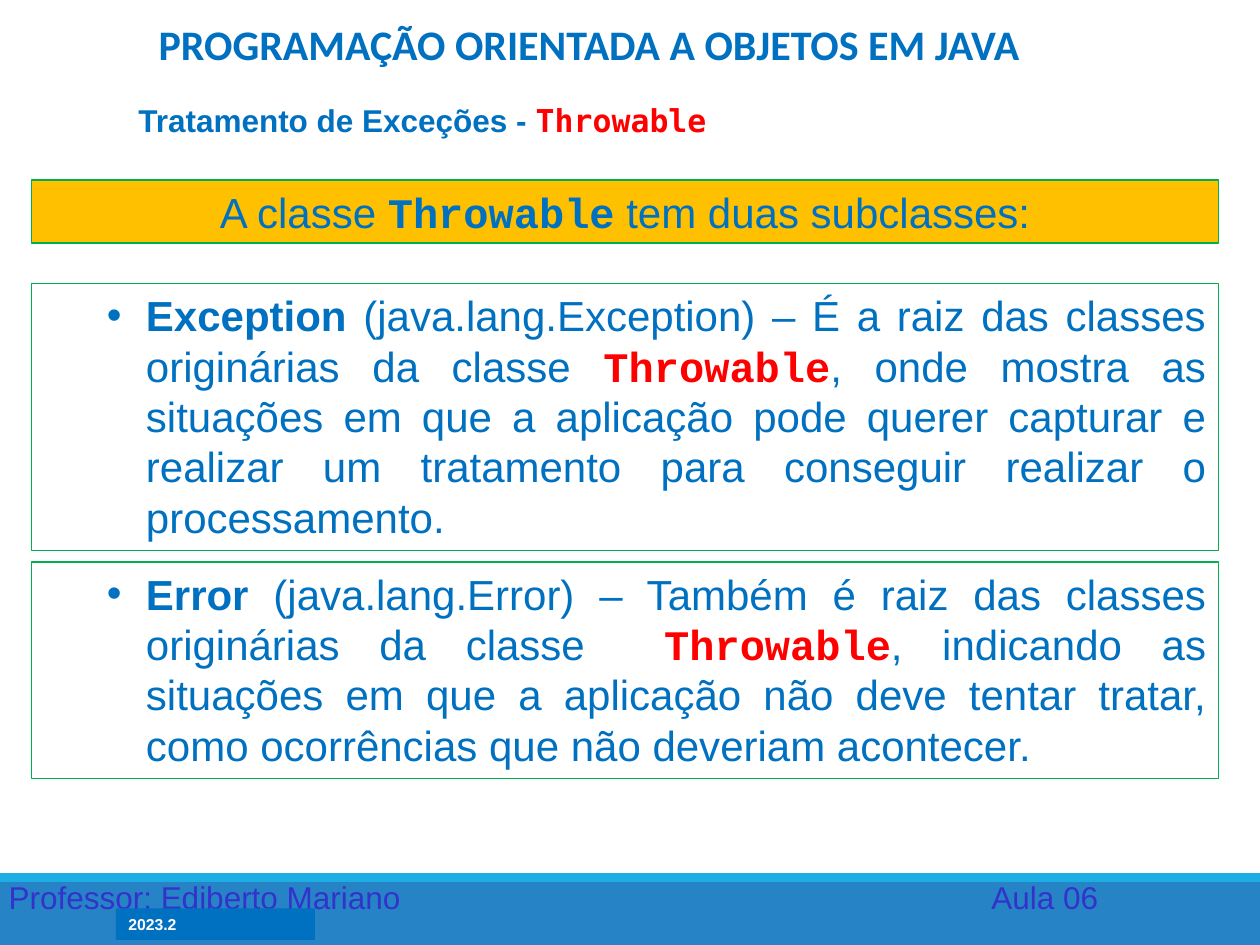
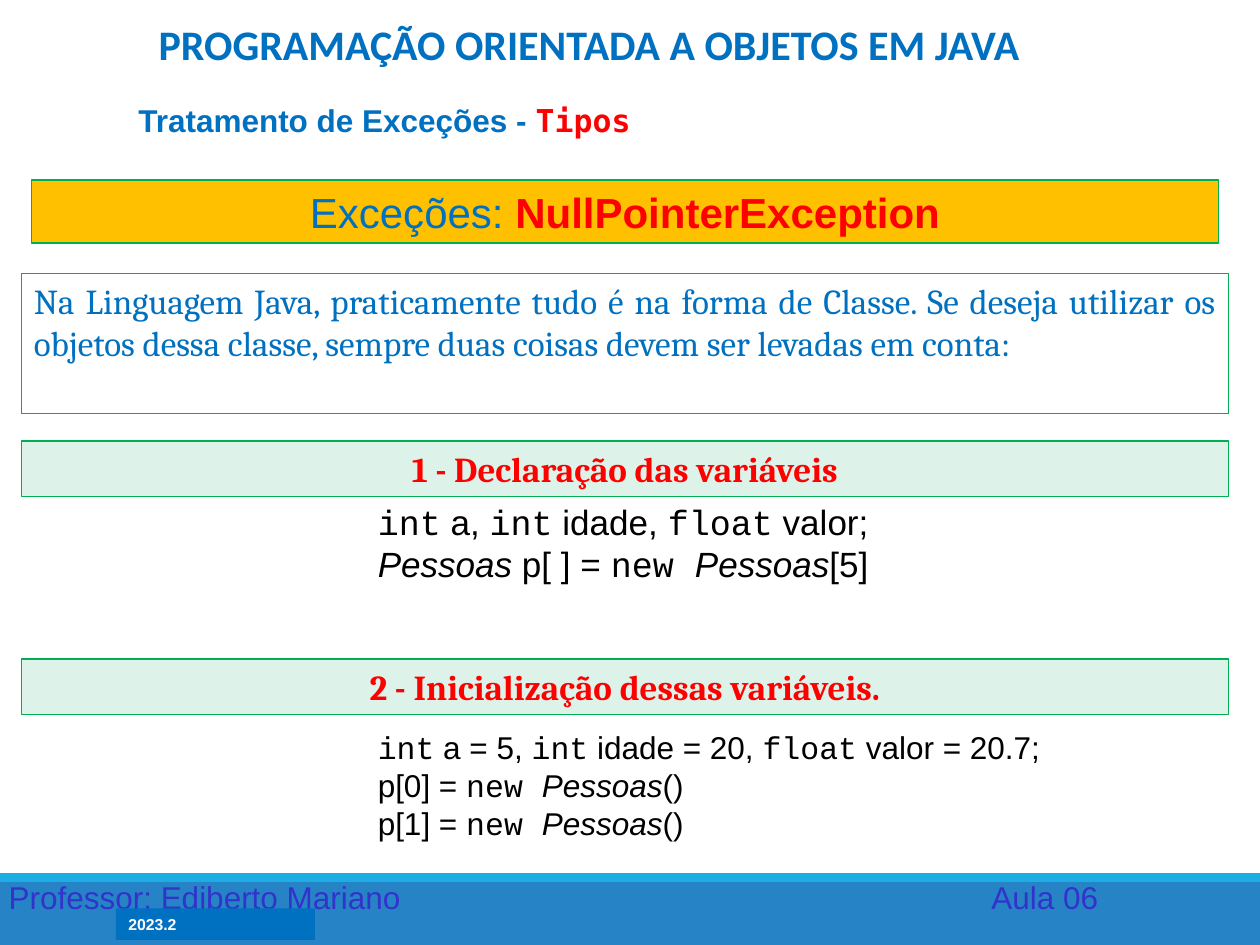
import dataclasses

import lxml.etree
import pptx
import pptx.dml.color
import pptx.enum.shapes
import pptx.enum.text
import pptx.oxml.ns
import pptx.util

Inches = pptx.util.Inches
ALIGN = pptx.enum.text.PP_ALIGN
ANCHOR = pptx.enum.text.MSO_ANCHOR


@dataclasses.dataclass(frozen=True)
class Theme:
    """Colours, type sizes and fonts shared by the lesson."""

    blue: str = "0070C0"
    red: str = "FF0000"
    black: str = "000000"
    white: str = "FFFFFF"
    border: str = "00B050"
    amber: str = "FFC000"
    mint: str = "DDF3EA"
    band: str = "2683C6"
    stripe: str = "1CADE4"
    credit: str = "3333CC"
    large: int = 24
    medium: int = 20
    small: int = 18
    tiny: int = 9
    sans: str = "Arial"
    serif: str = "Cambria"
    heading: str = "Calibri"
    code: str = "Courier New"
    mono: str = "DejaVu Sans Mono"


THEME = Theme()


def style(color, size, name=THEME.sans, bold=False, italic=False):
    """Return the format values of one run style."""
    return dict(color=color, size=size, name=name, bold=bold, italic=italic)


TITLE = style(THEME.blue, THEME.large, THEME.heading, bold=True)
TOPIC = style(THEME.blue, THEME.small, bold=True)
TOPIC_NAME = style(THEME.red, THEME.small, THEME.mono, bold=True)
BODY = style(THEME.blue, THEME.large)
BODY_BOLD = style(THEME.blue, THEME.large, bold=True)
BODY_CODE = style(THEME.blue, THEME.large, THEME.code, bold=True)
RED_BOLD = style(THEME.red, THEME.large, bold=True)
RED_CODE = style(THEME.red, THEME.large, THEME.code, bold=True)
INTRO = style(THEME.blue, THEME.medium, THEME.serif)
STEP = style(THEME.red, THEME.medium, THEME.serif, bold=True)
CREDIT = style(THEME.credit, THEME.small)
TERM = style(THEME.white, THEME.tiny, bold=True)


def write(frame, paragraphs, align=ALIGN.LEFT, anchor=ANCHOR.TOP):
    """Fill a text frame with paragraphs made of (text, style) runs."""
    settings = dict(
        word_wrap=True,
        auto_size=pptx.enum.text.MSO_AUTO_SIZE.NONE,
        vertical_anchor=anchor,
        margin_left=Inches(0.1),
        margin_right=Inches(0.1),
        margin_top=Inches(0.05),
        margin_bottom=Inches(0.05),
    )
    for key, value in settings.items():
        setattr(frame, key, value)
    for index, runs in enumerate(paragraphs):
        paragraph = frame.add_paragraph() if index else frame.paragraphs[0]
        paragraph.alignment = align
        for text, values in runs:
            run = paragraph.add_run()
            run.text = text
            for key, value in values.items():
                if key == "color":
                    run.font.color.rgb = pptx.dml.color.RGBColor.from_string(value)
                else:
                    setattr(run.font, key, pptx.util.Pt(value) if key == "size" else value)


def add_text(slide, box, paragraphs, align=ALIGN.LEFT):
    """Add a plain text box and return its text frame."""
    frame = slide.shapes.add_textbox(*map(Inches, box)).text_frame
    write(frame, paragraphs, align)
    return frame


def add_panel(slide, box, fill=None, border=None, paragraphs=(), align=ALIGN.CENTER):
    """Add a rectangle with optional fill, border and text."""
    panel = slide.shapes.add_shape(
        pptx.enum.shapes.MSO_SHAPE.RECTANGLE, *map(Inches, box)
    )
    panel.shadow.inherit = False
    for paint, color in ((panel.fill, fill), (panel.line.fill, border)):
        if color:
            paint.solid()
            paint.fore_color.rgb = pptx.dml.color.RGBColor.from_string(color)
        else:
            paint.background()
    if border:
        panel.line.width = pptx.util.Pt(0.75)
    write(panel.text_frame, paragraphs, align)
    return panel.text_frame


def add_mark(properties, tag, **attributes):
    """Append a DrawingML element to paragraph properties and return it."""
    return lxml.etree.SubElement(properties, pptx.oxml.ns.qn(tag), attributes)


def add_footer(slide, box):
    """Draw the footer band with the teacher, lesson and term."""
    left, top, width, height = box
    add_panel(slide, box, THEME.band)
    add_panel(slide, (left, top, width, 0.07), THEME.stripe)
    credit = add_text(
        slide,
        (left - 0.03, top - 0.01, 9, 0.4),
        [[("Professor: Ediberto Mariano\tAula 06", CREDIT)]],
    )
    properties = credit.paragraphs[0]._p.get_or_add_pPr()
    stops = add_mark(properties, "a:tabLst")
    add_mark(stops, "a:tab", pos=str(Inches(7.8)), algn="l")
    add_panel(
        slide,
        (left + 0.92, top + 0.28, 1.58, 0.25),
        THEME.blue,
        paragraphs=[[("2023.2", TERM)]],
        align=ALIGN.LEFT,
    )


def add_lesson_slide(deck, topic, banner):
    """Add a slide with the course title, topic line, banner and footer."""
    slide = deck.slides.add_slide(deck.slide_layouts[5])
    title = slide.shapes.title
    bounds = zip(("left", "top", "width", "height"), (1.03, 0.08, 7.29, 0.52))
    for key, value in bounds:
        setattr(title, key, Inches(value))
    write(
        title.text_frame,
        [[("PROGRAMAÇÃO ORIENTADA A OBJETOS EM JAVA", TITLE)]],
        ALIGN.CENTER,
        ANCHOR.BOTTOM,
    )
    add_footer(slide, (0, 6.93, 10, 0.57))
    add_text(
        slide,
        (1, 0.75, 4.83, 0.41),
        [[("Tratamento de Exceções - ", TOPIC), (topic, TOPIC_NAME)]],
        ALIGN.JUSTIFY,
    )
    add_panel(slide, (0.25, 1.43, 9.42, 0.5), THEME.amber, THEME.border, [banner])
    return slide


def add_subclass(slide, box, runs):
    """Add a bordered panel with one bulleted subclass description."""
    frame = add_panel(
        slide, box, border=THEME.border, paragraphs=[runs], align=ALIGN.JUSTIFY
    )
    properties = frame.paragraphs[0]._p.get_or_add_pPr()
    properties.set("marL", str(Inches(0.81)))
    properties.set("indent", str(Inches(-0.31)))
    add_mark(properties, "a:buFont", typeface=THEME.sans)
    add_mark(properties, "a:buChar", char="•")


def add_step(slide, box, heading, code_box, lines):
    """Add a step heading and its code, offset from the heading's corner."""
    left, top = box[:2]
    add_panel(slide, box, THEME.mint, THEME.border, [[(heading, STEP)]])
    across, down, width, height = code_box
    add_text(slide, (left + across, top + down, width, height), lines)


def build_throwable(deck):
    """Build the slide on the two subclasses of Throwable."""
    slide = add_lesson_slide(
        deck,
        "Throwable",
        [("A classe ", BODY), ("Throwable", BODY_CODE), (" tem duas subclasses:", BODY)],
    )
    subclasses = (
        (2.25, 2.12, "Exception",
         " (java.lang.Exception) – É a raiz das classes originárias da classe ",
         ", onde mostra as situações em que a aplicação pode querer capturar e "
         "realizar um tratamento para conseguir realizar o processamento."),
        (4.46, 1.72, "Error",
         " (java.lang.Error) – Também é raiz das classes originárias da classe  ",
         ", indicando as situações em que a aplicação não deve tentar tratar, "
         "como ocorrências que não deveriam acontecer."),
    )
    for top, height, name, origin, purpose in subclasses:
        runs = [(name, BODY_BOLD), (origin, BODY), ("Throwable", RED_CODE), (purpose, BODY)]
        add_subclass(slide, (0.25, top, 9.42, height), runs)


def build_null_pointer(deck):
    """Build the slide on declaring and initialising variables."""
    slide = add_lesson_slide(
        deck, "Tipos", [("Exceções: ", BODY), ("NullPointerException", RED_BOLD)]
    )
    add_panel(
        slide,
        (0.17, 2.17, 9.58, 1.11),
        THEME.white,
        THEME.border,
        [[("Na Linguagem Java, praticamente tudo é na forma de Classe. Se deseja "
           "utilizar os objetos dessa classe, sempre duas coisas devem ser levadas "
           "em conta:", INTRO)]],
        ALIGN.JUSTIFY,
    )
    plain, keyword, kind = (
        style(THEME.black, THEME.medium, name, italic=italic)
        for name, italic in ((THEME.sans, False), (THEME.code, False), (THEME.sans, True))
    )
    declaration = [
        [("int", keyword), (" a, ", plain), ("int", keyword), (" idade, ", plain),
         ("float", keyword), (" valor;", plain)],
        [("Pessoas", kind), (" p[ ] = ", plain), ("new ", keyword),
         ("Pessoas", kind), ("[5]", plain)],
    ]
    add_step(slide, (0.17, 3.5, 9.58, 0.44), "1 - Declaração das variáveis",
             (2.73, 0.42, 6.73, 0.77), declaration)

    plain, keyword, kind = (
        {**values, "size": THEME.small} for values in (plain, keyword, kind)
    )
    initialisation = [
        [("int", keyword), (" a = 5, ", plain), ("int", keyword), (" idade = 20, ", plain),
         ("float", keyword), (" valor = 20.7;", plain)],
    ] + [
        [(f"p[{index}] = ", plain), ("new ", keyword), ("Pessoas", kind), ("()", plain)]
        for index in range(2)
    ]
    add_step(slide, (0.17, 5.23, 9.58, 0.44), "2 - Inicialização dessas variáveis.",
             (2.73, 0.5, 5.6, 1.04), initialisation)


def main():
    """Build and save the lesson."""
    deck = pptx.Presentation()
    deck.slide_width, deck.slide_height = Inches(10), Inches(7.5)
    build_throwable(deck)
    build_null_pointer(deck)
    deck.save("out.pptx")


if __name__ == "__main__":
    main()
